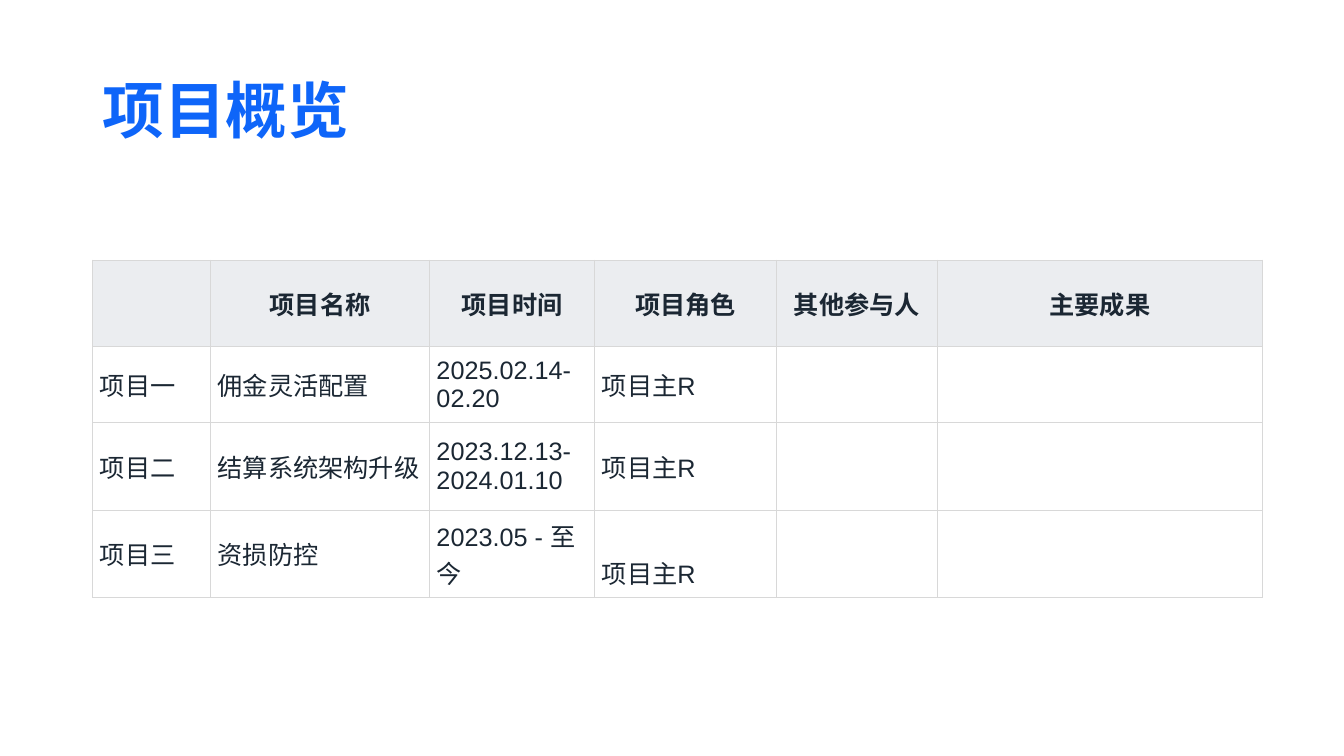
from lxml.etree import SubElement
from pptx import Presentation
from pptx.dml.color import RGBColor
from pptx.enum.text import MSO_ANCHOR as Anchor, PP_ALIGN as Align
from pptx.oxml.ns import qn
from pptx.util import Inches, Pt

COLORS = {"title": "0E65F9", "text": "1B2733", "header": "EBEDF0", "border": "D8D8D8"}
CJK_FONT = "Noto Sans CJK SC"
TITLE_FONT = {"name": CJK_FONT, "size": Pt(44), "bold": True}
HEADER_FONT = {"name": "Arial", "size": Pt(18), "bold": True}
BODY_FONT = {**HEADER_FONT, "bold": False}
CELL_FORMAT = {
    "vertical_anchor": Anchor.MIDDLE,
    **{f"margin_{side}": Inches(0.07) for side in ("left", "top", "right", "bottom")},
}
COLUMN_WIDTHS = [1.17, 2.17, 1.64, 1.8, 1.6, 3.22]
ROW_HEIGHTS = [0.86, 0.75, 0.87, 0.87]
PROJECTS = [
    ["", "项目名称", "项目时间", "项目角色", "其他参与人", "主要成果"],
    ["项目一", "佣金灵活配置", "2025.02.14-02.20", "项目主R", "", ""],
    ["项目二", "结算系统架构升级", "2023.12.13-2024.01.10", "项目主R", "", ""],
    ["项目三", "资损防控", "2023.05 - 至今", "项目主R", "", ""],
]


def apply(target, values):
    """Set every attribute in values on the target."""
    for name, value in values.items():
        setattr(target, name, value)


def write(para, text, font, color):
    """Add one formatted span of text to a paragraph."""
    span = para.add_run()
    span.text = text
    apply(span.font, font)
    span.font.color.rgb = RGBColor.from_string(COLORS[color])
    SubElement(span.font._element, qn("a:ea"), typeface=CJK_FONT)


def add_borders(cell):
    """Draw a thin line on all four sides of a cell."""
    properties = cell._tc.get_or_add_tcPr()
    for side in "LRTB":
        line = SubElement(properties, qn(f"a:ln{side}"), w=str(Pt(0.75)))
        fill = SubElement(line, qn("a:solidFill"))
        SubElement(fill, qn("a:srgbClr"), val=COLORS["border"])


def add_title(page, left, top, width, height):
    """Place the slide title in the given box."""
    box = page.shapes.add_textbox(*map(Inches, (left, top, width, height)))
    frame = box.text_frame
    apply(frame, {"word_wrap": True, "vertical_anchor": Anchor.MIDDLE})
    para = frame.paragraphs[0]
    para.line_spacing = 0.9
    write(para, "项目概览", TITLE_FONT, "title")


def fill_cell(cell, text, is_header):
    """Format one table cell and write its text."""
    apply(cell, CELL_FORMAT)
    add_borders(cell)
    if is_header:
        cell.fill.solid()
        cell.fill.fore_color.rgb = RGBColor.from_string(COLORS["header"])
    else:
        cell.fill.background()
    para = cell.text_frame.paragraphs[0]
    para.alignment = Align.CENTER if is_header else Align.LEFT
    if text:
        write(para, text, HEADER_FONT if is_header else BODY_FONT, "text")


def add_project_table(page, left, top):
    """Place the project table with its corner at the given point."""
    size = (sum(COLUMN_WIDTHS), sum(ROW_HEIGHTS))
    frame = page.shapes.add_table(
        len(ROW_HEIGHTS), len(COLUMN_WIDTHS), *map(Inches, (left, top, *size))
    )
    table = frame.table
    table.horz_banding = False
    for column, width in zip(table.columns, COLUMN_WIDTHS):
        column.width = Inches(width)
    for index, (row, height) in enumerate(zip(table.rows, ROW_HEIGHTS)):
        row.height = Inches(height)
        for cell, text in zip(row.cells, PROJECTS[index]):
            fill_cell(cell, text, index == 0)
    table.cell(3, 3).vertical_anchor = Anchor.BOTTOM


def main():
    """Build the project overview slide and save it."""
    deck = Presentation()
    apply(deck, {"slide_width": Inches(13.33), "slide_height": Inches(7.5)})
    page = deck.slides.add_slide(deck.slide_layouts[6])
    add_title(page, 0.92, 0.4, 11.5, 1.45)
    add_project_table(page, 0.92, 2.58)
    deck.save("out.pptx")


if __name__ == "__main__":
    main()
